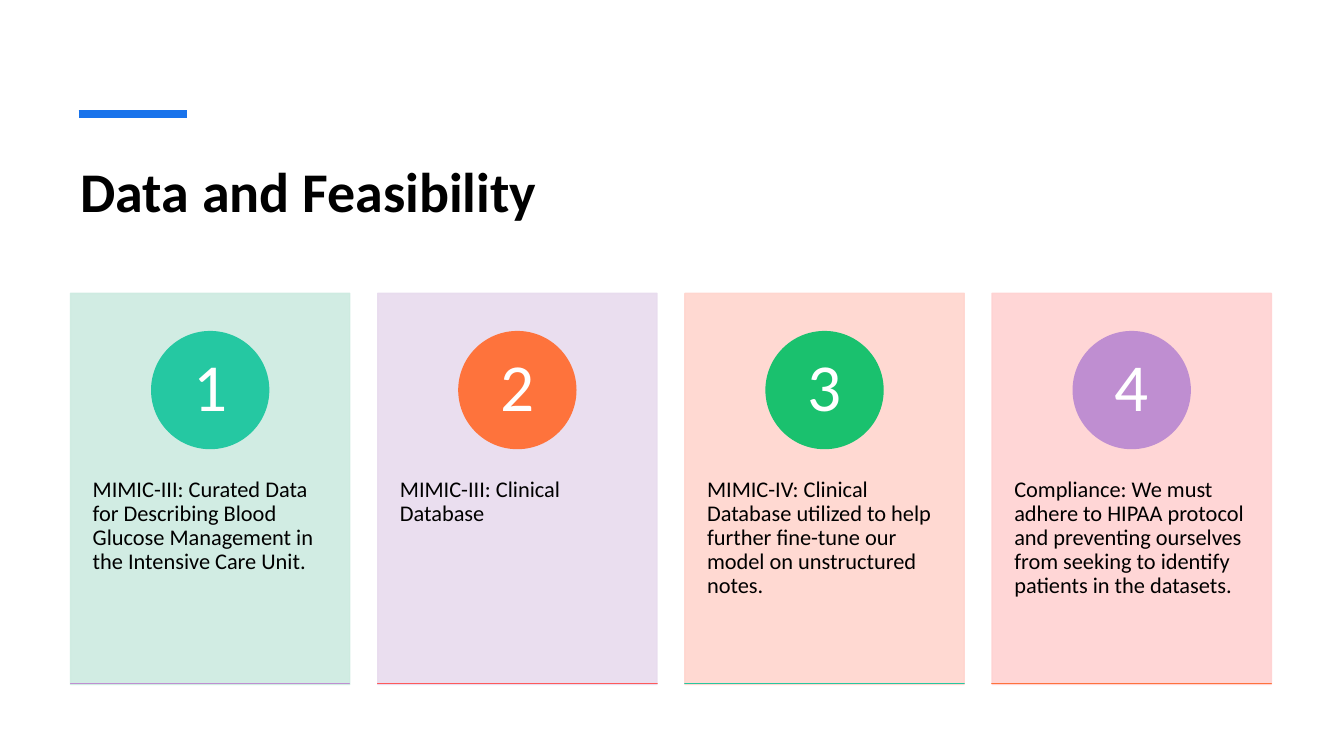
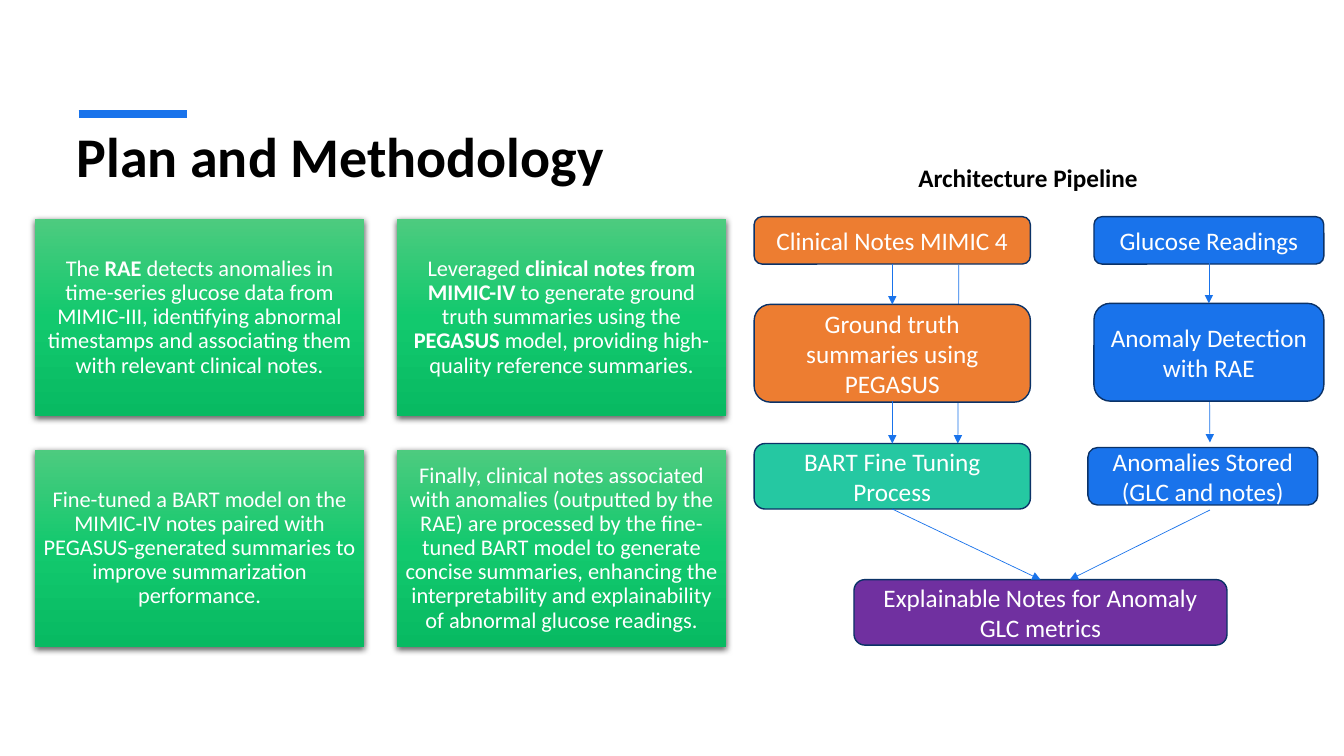
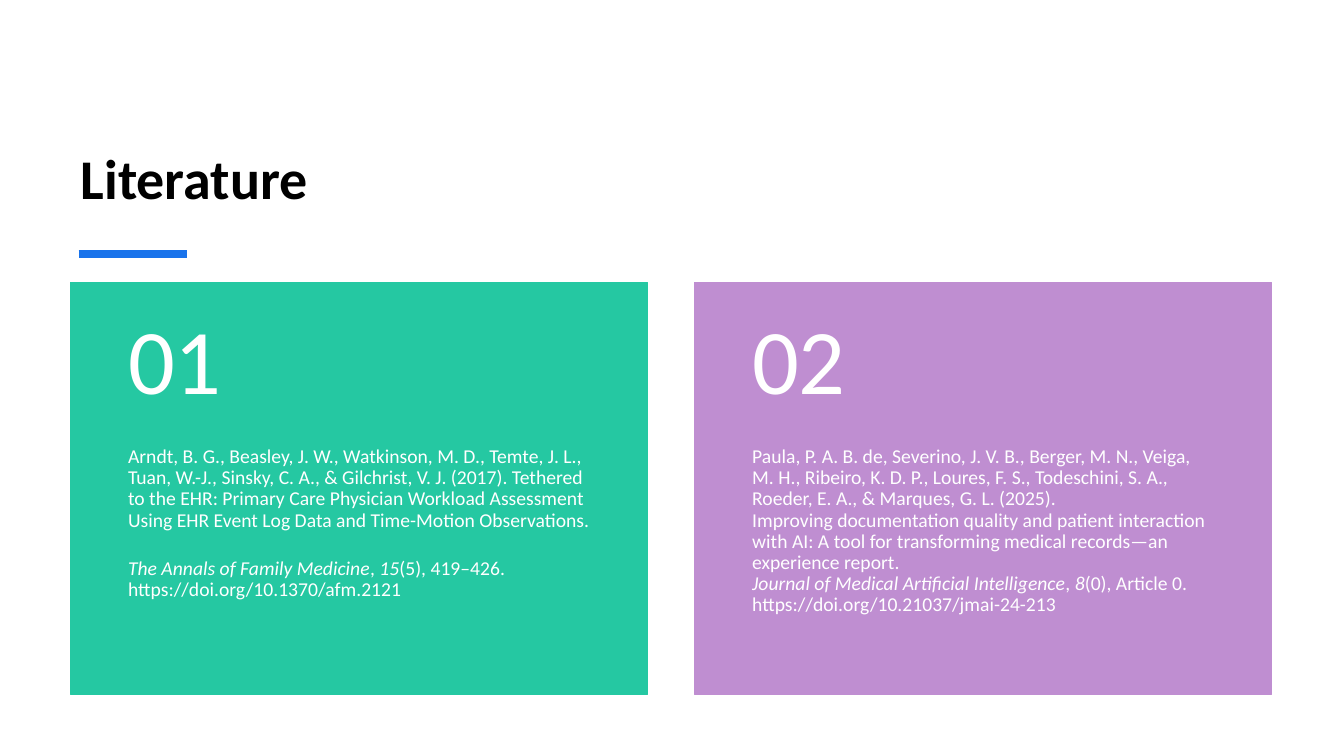
from dataclasses import dataclass
from typing import NamedTuple

from lxml.etree import SubElement
from pptx import Presentation
from pptx.dml.color import RGBColor
from pptx.enum.shapes import MSO_CONNECTOR, MSO_SHAPE
from pptx.enum.text import MSO_ANCHOR, MSO_AUTO_SIZE, PP_ALIGN
from pptx.oxml.ns import qn
from pptx.util import Inches, Pt

FONT = "Calibri"
INK = {
    "black": "000000", "white": "FFFFFF", "blue": "1973EB", "navy": "0B3267",
    "teal": "25C8A2", "orange": "FE733C", "green": "1AC16E", "lilac": "BF8ED1",
    "coral": "FE5A5A", "amber": "ED7D31", "purple": "7030A0",
    "mint": "CDEBE0", "mauve": "E8DBEE", "peach": "FFD5CE", "pink": "FFD2D2",
    "top": "4DCB7F", "mid": "12C96E", "low": "08BA62",
}
LEFT, SPAN = 0.7, 11.91


class Box(NamedTuple):
    x: float
    y: float
    w: float
    h: float


class Bit(NamedTuple):
    text: str
    bold: bool = False
    ital: bool = False


@dataclass
class Style:
    size: int
    ink: str = "white"
    align: PP_ALIGN = PP_ALIGN.LEFT
    anchor: MSO_ANCHOR = MSO_ANCHOR.TOP
    inset: tuple = (0.1, 0.05, 0.1, 0.05)
    lead: float = 1.0


@dataclass
class Card:
    text: str
    fill: str
    disc: str
    rule: str


@dataclass
class Node:
    text: str
    box: Box
    fill: str


@dataclass
class Arrow:
    x1: float
    y1: float
    x2: float
    y2: float


MID = MSO_ANCHOR.MIDDLE
MIDST = PP_ALIGN.CENTER
HEAD = Style(40, "black")
HEAD_LOW = Style(40, "black", anchor=MSO_ANCHOR.BOTTOM)
NOTE = Style(16, "black", inset=(0.22, 0.36, 0.22, 0.36), lead=0.9)
DISC = Style(48, align=MIDST, anchor=MID, inset=(0.09, 0.01, 0.09, 0.01), lead=0.9)
STEP = Style(16, align=MIDST, anchor=MID, inset=(0.07,) * 4, lead=0.9)
LABEL = Style(18, "black")
NODE = Style(18, align=MIDST, anchor=MID)
CITE = Style(14, inset=(0.57, 0, 0.57, 0.36), lead=0.9)
COUNT = Style(66, anchor=MID, inset=(0.57, 0.18, 0.57, 0.18), lead=0.9)

CARDS = [
    Card("MIMIC-III: Curated Data for Describing Blood Glucose Management in the "
         "Intensive Care Unit.", "mint", "teal", "lilac"),
    Card("MIMIC-III: Clinical Database", "mauve", "orange", "coral"),
    Card("MIMIC-IV: Clinical Database utilized to help further fine-tune our model "
         "on unstructured notes.", "peach", "green", "teal"),
    Card("Compliance: We must adhere to HIPAA protocol and preventing ourselves from "
         "seeking to identify patients in the datasets.", "pink", "lilac", "orange"),
]

STEPS = [
    [Bit("The "), Bit("RAE", True),
     Bit(" detects anomalies in time-series glucose data from MIMIC-III, identifying "
         "abnormal timestamps and associating them with relevant clinical notes.")],
    [Bit("Leveraged "), Bit("clinical notes from MIMIC-IV", True),
     Bit(" to generate ground truth summaries using the "), Bit("PEGASUS", True),
     Bit(" model, providing high-quality reference summaries.")],
    [Bit("Fine-tuned a BART model on the MIMIC-IV notes paired with PEGASUS-generated "
         "summaries to improve summarization performance.")],
    [Bit("Finally, clinical notes associated with anomalies (outputted by the RAE) are "
         "processed by the fine-tuned BART model to generate concise summaries, "
         "enhancing the interpretability and explainability of abnormal glucose "
         "readings.")],
]

NODES = [
    Node("Glucose Readings", Box(10.85, 2.15, 2.28, 0.47), "blue"),
    Node("Anomaly Detection with RAE", Box(10.85, 3.01, 2.28, 0.97), "blue"),
    Node("Clinical Notes MIMIC 4", Box(7.48, 2.15, 2.74, 0.47), "amber"),
    Node("Ground truth summaries using PEGASUS", Box(7.48, 3.02, 2.74, 0.97), "amber"),
    Node("BART Fine Tuning Process", Box(7.48, 4.4, 2.74, 0.65), "teal"),
    Node("Explainable Notes for Anomaly GLC metrics", Box(8.47, 5.75, 3.7, 0.65), "purple"),
    Node("Anomalies Stored (GLC and notes)", Box(10.79, 4.44, 2.28, 0.57), "blue"),
]
UNDER = [Arrow(11.99, 3.02, 12, 4.39), Arrow(9.51, 2.63, 9.5, 4.4)]
OVER = [
    Arrow(11.99, 2.61, 11.99, 3.01), Arrow(8.85, 2.62, 8.85, 3.02),
    Arrow(8.85, 3.98, 8.85, 4.4), Arrow(8.85, 5.05, 10.32, 5.75),
    Arrow(12, 5.06, 10.61, 5.75),
]

PAPERS = [
    ("teal", [
        Bit("Arndt, B. G., Beasley, J. W., Watkinson, M. D., Temte, J. L., Tuan, W.-J., "
            "Sinsky, C. A., & Gilchrist, V. J. (2017). Tethered to the EHR: Primary Care "
            "Physician Workload Assessment Using EHR Event Log Data and Time-Motion "
            "Observations. \n"),
        Bit("The Annals of Family Medicine", ital=True), Bit(", "), Bit("15", ital=True),
        Bit("(5), 419–426. \nhttps://doi.org/10.1370/afm.2121")]),
    ("lilac", [
        Bit("Paula, P. A. B. de, Severino, J. V. B., Berger, M. N., Veiga, M. H., "
            "Ribeiro, K. D. P., Loures, F. S., Todeschini, S. A., Roeder, E. A., & "
            "Marques, G. L. (2025). \nImproving documentation quality and patient "
            "interaction with AI: A tool for transforming medical records—an experience "
            "report. \n"),
        Bit("Journal of Medical Artificial Intelligence", ital=True), Bit(", "),
        Bit("8", ital=True),
        Bit("(0), Article 0. \nhttps://doi.org/10.21037/jmai-24-213")]),
]


def tint(name: str) -> RGBColor:
    return RGBColor.from_string(INK[name])


def place(box: Box) -> list:
    return [Inches(v) for v in box]


def write(shape, bits: list, style: Style) -> None:
    frame = shape.text_frame
    frame.word_wrap = True
    frame.auto_size = MSO_AUTO_SIZE.NONE
    frame.vertical_anchor = style.anchor
    (frame.margin_left, frame.margin_top,
     frame.margin_right, frame.margin_bottom) = [Inches(v) for v in style.inset]
    para = frame.paragraphs[0]
    para.alignment = style.align
    para.line_spacing = style.lead
    for bit in bits:
        for i, line in enumerate(bit.text.split("\n")):
            if i:
                para.add_line_break()
            if line:
                run = para.add_run()
                run.text = line
                font = run.font
                font.name, font.size = FONT, Pt(style.size)
                font.bold, font.italic = bit.bold, bit.ital
                font.color.rgb = tint(style.ink)


def add_text(slide, box: Box, bits: list, style: Style) -> None:
    write(slide.shapes.add_textbox(*place(box)), bits, style)


def add_box(slide, kind: MSO_SHAPE, box: Box, fill: str, edge: str, alpha: int = 100):
    shape = slide.shapes.add_shape(kind, *place(box))
    shape.shadow.inherit = False
    shape.fill.solid()
    shape.fill.fore_color.rgb = tint(fill)
    shape.line.color.rgb = tint(edge)
    shape.line.width = Pt(1)
    if alpha < 100:
        for clr in shape.element.spPr.iter(qn("a:srgbClr")):
            SubElement(clr, qn("a:alpha"), val=str(alpha * 1000))
    return shape


def add_step(slide, box: Box, bits: list) -> None:
    shape = slide.shapes.add_shape(MSO_SHAPE.RECTANGLE, *place(box))
    shape.shadow.inherit = False
    shape.line.fill.background()
    shape.fill.gradient()
    shape.fill.gradient_angle = 270
    props = shape.element.spPr
    stops = props.find(qn("a:gradFill")).find(qn("a:gsLst"))
    for old in list(stops):
        stops.remove(old)
    for pos, name in ((0, "top"), (50, "mid"), (100, "low")):
        stop = SubElement(stops, qn("a:gs"), pos=str(pos * 1000))
        SubElement(stop, qn("a:srgbClr"), val=INK[name])
    cast = SubElement(props.find(qn("a:effectLst")), qn("a:outerShdw"),
                      blurRad=str(Pt(4.5)), dist=str(Pt(1.5)), dir="5400000",
                      algn="ctr", rotWithShape="0")
    clr = SubElement(cast, qn("a:srgbClr"), val=INK["black"])
    SubElement(clr, qn("a:alpha"), val="63000")
    write(shape, bits, STEP)


def add_line(slide, path_: Arrow, width: float, tip: bool = True) -> None:
    ends = [Inches(v) for v in (path_.x1, path_.y1, path_.x2, path_.y2)]
    line = slide.shapes.add_connector(MSO_CONNECTOR.STRAIGHT, *ends)
    line.line.color.rgb = tint("blue")
    line.line.width = Pt(width)
    props = line.element.spPr
    if tip:
        SubElement(props.find(qn("a:ln")), qn("a:tailEnd"), type="triangle")
    SubElement(props, qn("a:effectLst"))


def add_slide(deck, title: str, box: Box, bar: float, style: Style = HEAD):
    slide = deck.slides.add_slide(deck.slide_layouts[5])
    head = slide.shapes.title
    head.left, head.top, head.width, head.height = place(box)
    write(head, [Bit(title, True)], style)
    add_line(slide, Arrow(0.78, bar, 1.85, bar), 6, False)
    return slide


def draw_data(deck) -> None:
    slide = add_slide(deck, "Data and Feasibility", Box(LEFT, 1.5, SPAN, 1.2), 1.13)
    wide, disc = 2.77, 1.16
    pitch = (SPAN - wide) / (len(CARDS) - 1)
    for i, card in enumerate(CARDS):
        x = LEFT + i * pitch
        add_box(slide, MSO_SHAPE.RECTANGLE, Box(x, 2.91, wide, 3.88),
                card.fill, card.fill, 90)
        add_text(slide, Box(x, 4.38, wide, 2.33), [Bit(card.text)], NOTE)
        ring = add_box(slide, MSO_SHAPE.OVAL,
                       Box(x + (wide - disc) / 2, 3.29, disc, disc), card.disc, card.disc)
        write(ring, [Bit(str(i + 1))], DISC)
        add_box(slide, MSO_SHAPE.RECTANGLE, Box(x, 6.78, wide, 0), card.rule, card.rule)


def draw_plan(deck) -> None:
    slide = add_slide(deck, "Plan and Methodology", Box(0.66, 1.16, 6.27, 1.2), 1.13)
    for arrow in UNDER:
        add_line(slide, arrow, 0.5)
    for i, bits in enumerate(STEPS):
        row, col = divmod(i, 2)
        add_step(slide, Box(0.35 + col * 3.59, 2.17 + row * 2.29, 3.26, 1.96), bits)
    add_text(slide, Box(9.01, 1.56, 3.34, 0.4), [Bit("Architecture Pipeline", True)], LABEL)
    for node in NODES:
        shape = add_box(slide, MSO_SHAPE.ROUNDED_RECTANGLE, node.box, node.fill, "navy")
        write(shape, [Bit(node.text)], NODE)
    for arrow in OVER:
        add_line(slide, arrow, 0.5)


def draw_papers(deck) -> None:
    slide = add_slide(deck, "Literature", Box(LEFT, 0.62, SPAN, 1.52), 2.52, HEAD_LOW)
    wide = 5.72
    for i, (fill, bits) in enumerate(PAPERS):
        x = LEFT + i * (SPAN - wide)
        add_box(slide, MSO_SHAPE.RECTANGLE, Box(x, 2.8, wide, 4.09), fill, fill)
        add_text(slide, Box(x, 4.43, wide, 2.45), bits, CITE)
        add_text(slide, Box(x, 2.8, wide, 1.64), [Bit(f"{i + 1:02d}")], COUNT)


def main() -> None:
    deck = Presentation()
    deck.slide_width, deck.slide_height = Inches(13.33), Inches(7.5)
    draw_data(deck)
    draw_plan(deck)
    draw_papers(deck)
    deck.save("out.pptx")


if __name__ == "__main__":
    main()
